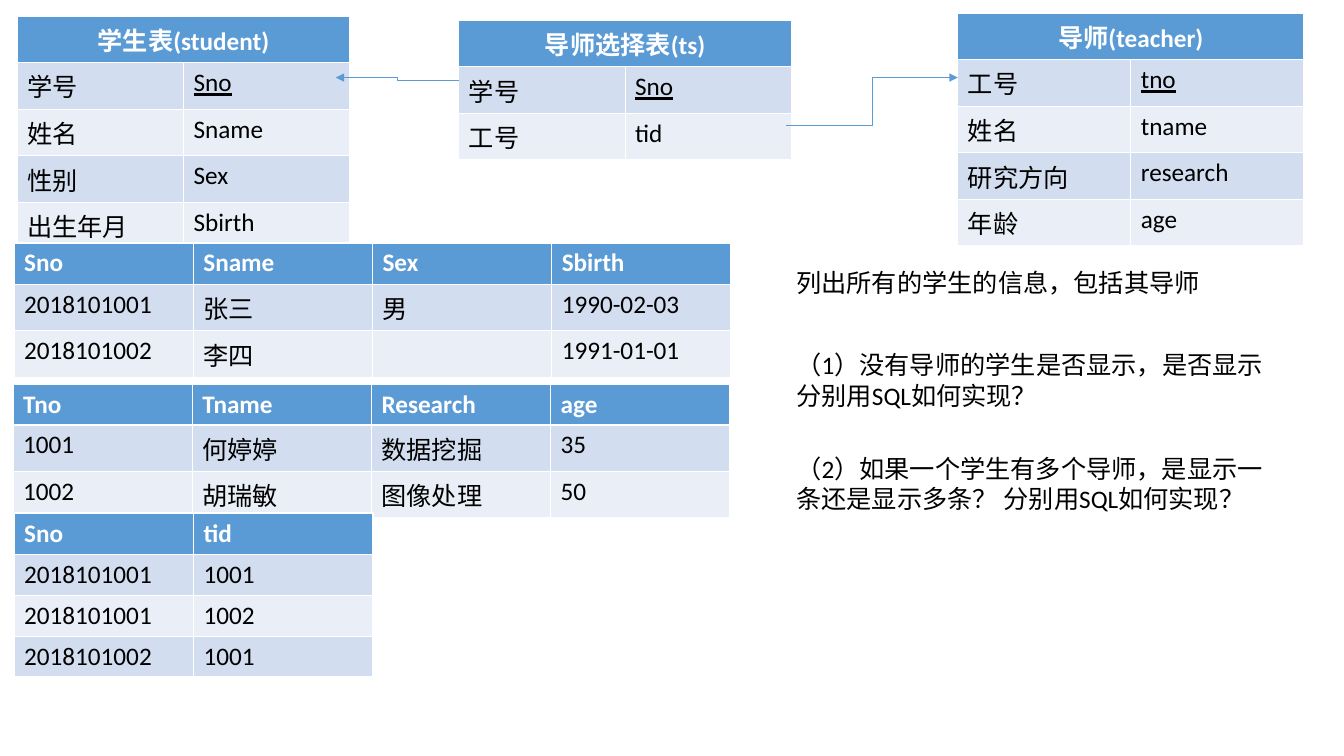
from lxml.etree import SubElement
from pptx import Presentation
from pptx.dml.color import RGBColor as RGB
from pptx.enum.shapes import MSO_CONNECTOR as Conn
from pptx.enum.text import MSO_AUTO_SIZE as Fit, PP_ALIGN as Align
from pptx.oxml.ns import qn
from pptx.util import Inches, Pt

BLUE = RGB(0x5B, 0x9B, 0xD5)
DARK = RGB(0xD2, 0xDE, 0xEF)
PALE = RGB(0xEA, 0xEF, 0xF7)
WHITE = RGB(255, 255, 255)
BLACK = RGB(0, 0, 0)

BODY = {"name": "Calibri", "size": Pt(18), "bold": False}
HEAD = {**BODY, "bold": True}
ROW = 0.41

STUDENT = [("学号", "Sno"), ("姓名", "Sname"), ("性别", "Sex"), ("出生年月", "Sbirth")]
TEACHER = [("工号", "tno"), ("姓名", "tname"), ("研究方向", "research"), ("年龄", "age")]
CHOICE = [("学号", "Sno"), ("工号", "tid")]
PUPILS = [
    ("Sno", "Sname", "Sex", "Sbirth"),
    ("2018101001", "张三", "男", "1990-02-03"),
    ("2018101002", "李四", "", "1991-01-01"),
]
TUTORS = [
    ("Tno", "Tname", "Research", "age"),
    ("1001", "何婷婷", "数据挖掘", "35"),
    ("1002", "胡瑞敏", "图像处理", "50"),
]
PAIRS = [
    ("Sno", "tid"),
    ("2018101001", "1001"),
    ("2018101001", "1002"),
    ("2018101002", "1001"),
]
NOTES = [
    (2.6, 4.99, 0.4, "列出所有的学生的信息，包括其导师"),
    (3.42, 4.99, 0.71, "（1）没有导师的学生是否显示，是否显示分别用SQL如何实现？"),
    (4.45, 4.86, 0.71, "（2）如果一个学生有多个导师，是显示一条还是显示多条？ 分别用SQL如何实现？"),
]


def style(font, form, color):
    for key, value in form.items():
        setattr(font, key, value)
    font.color.rgb = color


def add_grid(slide, left, top, wide, rows, first=ROW, rest=ROW):
    highs = [first] + [rest] * (len(rows) - 1)
    frame = slide.shapes.add_table(
        len(rows), len(rows[0]), Inches(left), Inches(top),
        Inches(wide), Inches(sum(highs)))
    table = frame.table
    for r, (high, row) in enumerate(zip(highs, rows)):
        table.rows[r].height = Inches(high)
        for c, text in enumerate(row):
            cell = table.cell(r, c)
            cell.fill.solid()
            cell.fill.fore_color.rgb = (DARK if r % 2 else PALE) if r else BLUE
            para = cell.text_frame.paragraphs[0]
            style(para.font, BODY if r else HEAD, BLACK if r else WHITE)
            if text:
                run = para.add_run()
                run.text = text
                style(run.font, BODY if r else HEAD, BLACK if r else WHITE)
    return table


def add_schema(slide, left, top, wide, title, fields):
    table = add_grid(slide, left, top, wide, [(title, "")] + fields)
    head = table.cell(0, 0)
    head.merge(table.cell(0, 1))
    head.text_frame.paragraphs[0].alignment = Align.CENTER
    key = table.cell(1, 1).text_frame.paragraphs[0].runs[0]
    key.font.underline = True


def add_arrow(slide, *ends):
    link = slide.shapes.add_connector(Conn.ELBOW, *map(Inches, ends))
    link.line.color.rgb = BLUE
    link.line.width = Pt(0.5)
    SubElement(link.line._get_or_add_ln(), qn("a:tailEnd"), type="triangle")
    SubElement(link._element.spPr, qn("a:effectLst"))


def add_note(slide, top, wide, high, text):
    box = slide.shapes.add_textbox(*map(Inches, (7.8, top, wide, high)))
    frame = box.text_frame
    frame.word_wrap = True
    frame.auto_size = Fit.SHAPE_TO_FIT_TEXT
    run = frame.paragraphs[0].add_run()
    run.text = text
    style(run.font, BODY, BLACK)


def main():
    deck = Presentation()
    deck.slide_width, deck.slide_height = Inches(13.33), Inches(7.5)
    slide = deck.slides.add_slide(deck.slide_layouts[6])
    add_schema(slide, 0.17, 0.16, 3.3, "学生表(student)", STUDENT)
    add_grid(slide, 0.14, 2.41, 7.11, PUPILS)
    add_schema(slide, 9.5, 0.13, 3.43, "导师(teacher)", TEACHER)
    add_grid(slide, 0.13, 3.81, 7.11, TUTORS, first=0.17)
    add_grid(slide, 0.14, 5.09, 3.56, PAIRS, rest=0.33)
    add_schema(slide, 4.55, 0.2, 3.3, "导师选择表(ts)", CHOICE)
    add_arrow(slide, 4.55, 0.8, 3.33, 0.77)
    add_arrow(slide, 7.8, 1.24, 9.5, 0.77)
    for note in NOTES:
        add_note(slide, *note)
    deck.save("out.pptx")


main()
